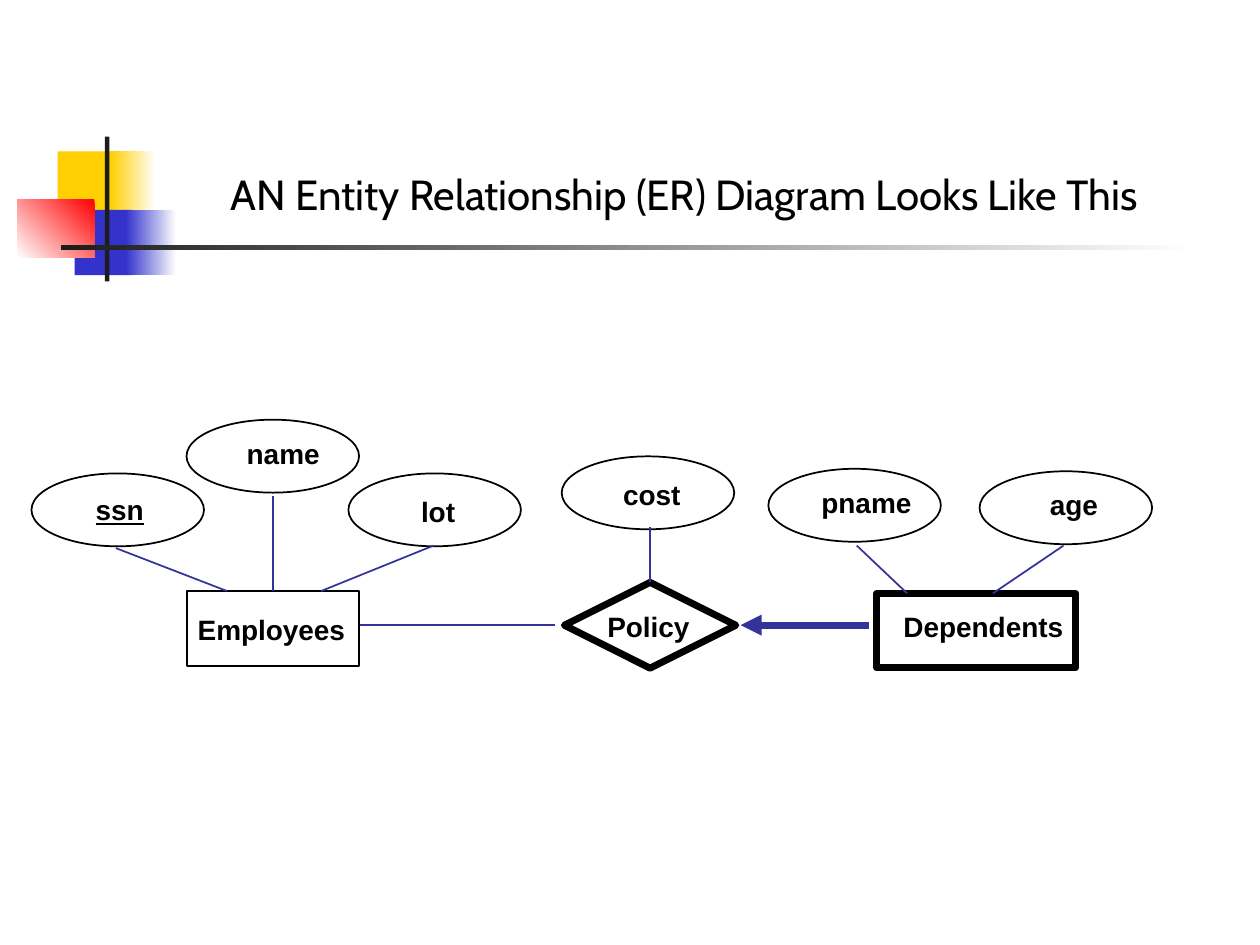
from dataclasses import dataclass

from lxml.etree import SubElement
from pptx import Presentation
from pptx.dml.color import RGBColor
from pptx.enum.shapes import MSO_CONNECTOR as Connector, MSO_SHAPE as Shape
from pptx.enum.text import MSO_AUTO_SIZE as AutoSize
from pptx.oxml.ns import qn
from pptx.util import Pt


@dataclass(frozen=True)
class Theme:
    yellow: str = "FFCF01"
    blue: str = "3333CC"
    red: str = "FF0000"
    dark: str = "1C1C1C"
    white: str = "FFFFFF"
    ink: str = "000000"
    link: str = "333399"
    title_font: str = "Cabin"
    label_font: str = "Arial"
    title_size: float = 24
    label_size: float = 16
    thin: float = 1
    thick: float = 4


class DiagramSlide:
    """Draws the elements of an entity relationship diagram on one slide."""

    def __init__(self, slide, theme):
        self.shapes = slide.shapes
        self.theme = theme

    def block(self, box, *colors, angle=180):
        shape = self.shapes.add_shape(Shape.RECTANGLE, *map(Pt, box))
        shape.shadow.inherit = False
        shape.line.fill.background()
        if len(colors) == 1:
            shape.fill.solid()
            shape.fill.fore_color.rgb = RGBColor.from_string(colors[0])
        else:
            shape.fill.gradient()
            shape.fill.gradient_angle = angle
            for stop, color in zip(shape.fill.gradient_stops, colors):
                stop.color.rgb = RGBColor.from_string(color)

    def outline(self, kind, box, weight):
        shape = self.shapes.add_shape(kind, *map(Pt, box))
        shape.shadow.inherit = False
        shape.fill.background()
        shape.line.color.rgb = RGBColor.from_string(self.theme.ink)
        shape.line.width = Pt(weight)
        SubElement(shape.line._get_or_add_ln(), qn("a:round"))
        return shape

    def text(self, words, box, font, size, bold=False, underline=False, wrap=False):
        text_box = self.shapes.add_textbox(*map(Pt, box))
        text_box.text_frame.word_wrap = wrap
        text_box.text_frame.auto_size = AutoSize.SHAPE_TO_FIT_TEXT
        text_box.text_frame.text = words
        style = text_box.text_frame.paragraphs[0].runs[0].font
        style.name, style.size = font, Pt(size)
        style.bold, style.underline = bold, underline
        style.color.rgb = RGBColor.from_string(self.theme.ink)

    def label(self, words, left, top, width, underline=False):
        self.text(words, (left, top, width, 26), self.theme.label_font,
                  self.theme.label_size, bold=True, underline=underline)

    def link(self, start, end, weight, target=None, arrow=False):
        line = self.shapes.add_connector(Connector.STRAIGHT, *map(Pt, start + end))
        line.line.color.rgb = RGBColor.from_string(self.theme.link)
        line.line.width = Pt(weight)
        if target is not None:
            line.end_connect(target, 0)
        if arrow:
            SubElement(line.line._get_or_add_ln(), qn("a:headEnd"), type="triangle")
        SubElement(line._element.spPr, qn("a:effectLst"))


def main():
    theme = Theme()
    presentation = Presentation()
    presentation.slide_width, presentation.slide_height = Pt(720), Pt(540)
    slide = presentation.slides.add_slide(presentation.slide_layouts[6])
    diagram = DiagramSlide(slide, theme)

    diagram.block((33, 86.5, 34.5, 37.5), theme.yellow)
    diagram.block((63, 86.5, 26, 37.5), theme.white, theme.yellow)
    diagram.block((42.7, 119.9, 33, 37.3), theme.blue)
    diagram.block((72, 119.9, 28.6, 37.3), theme.white, theme.blue)
    diagram.block((9.8, 113.8, 44.2, 33.4), theme.red, theme.white, angle=225)
    diagram.block((60, 78, 2.5, 82.8), theme.dark)
    diagram.block((34.8, 140.1, 648, 2.6), theme.white, theme.dark)

    attributes = [
        ("ssn", (18, 270.5), (47.5, 278, 43)),
        ("name", (106.6, 239.8), (133.9, 246, 58)),
        ("lot", (199.1, 270.5), (233.5, 279, 35)),
        ("cost", (321, 260.8), (349, 269.3, 50)),
        ("pname", (439.1, 267.9), (462.3, 274, 68)),
        ("age", (559.8, 269.3), (592.8, 275, 43)),
    ]
    for words, corner, place in attributes:
        diagram.outline(Shape.OVAL, corner + (98.6, 41.7), theme.thin)
        diagram.label(words, *place, underline=words == "ssn")

    nodes = [
        ("Employees", Shape.RECTANGLE, (106.7, 337.8, 98.4, 42.8), theme.thin,
         (105.9, 346.3, 100)),
        ("Policy", Shape.DIAMOND, (322.5, 332.8, 98, 49), theme.thick,
         (340, 344.9, 63)),
        ("Dependents", Shape.RECTANGLE, (501, 339.1, 113.8, 42.6), theme.thick,
         (509.2, 344.9, 107)),
    ]
    placed = {}
    for words, kind, box, weight, place in nodes:
        placed[words] = diagram.outline(kind, box, weight)
        diagram.label(words, *place)

    links = [
        ((66.2, 313.2), (129.6, 337.7), None),
        ((155.9, 283.7), (155.9, 337.8), placed["Employees"]),
        ((247.7, 311.8), (183.6, 337.7), None),
        ((371.5, 301), (371.5, 332.8), placed["Policy"]),
        ((489.6, 311.8), (518.4, 339.1), None),
        ((607.7, 311.8), (567.4, 339.1), None),
        ((205.9, 357.1), (317.2, 357.1), None),
    ]
    for start, end, target in links:
        diagram.link(start, end, theme.thin, target)
    diagram.link((423.2, 357.2), (496.4, 357.2), theme.thick, arrow=True)

    diagram.text("AN Entity Relationship (ER) Diagram Looks Like This",
                 (124.6, 92.9, 592.6, 36), theme.title_font, theme.title_size, wrap=True)
    presentation.save("out.pptx")


if __name__ == "__main__":
    main()
